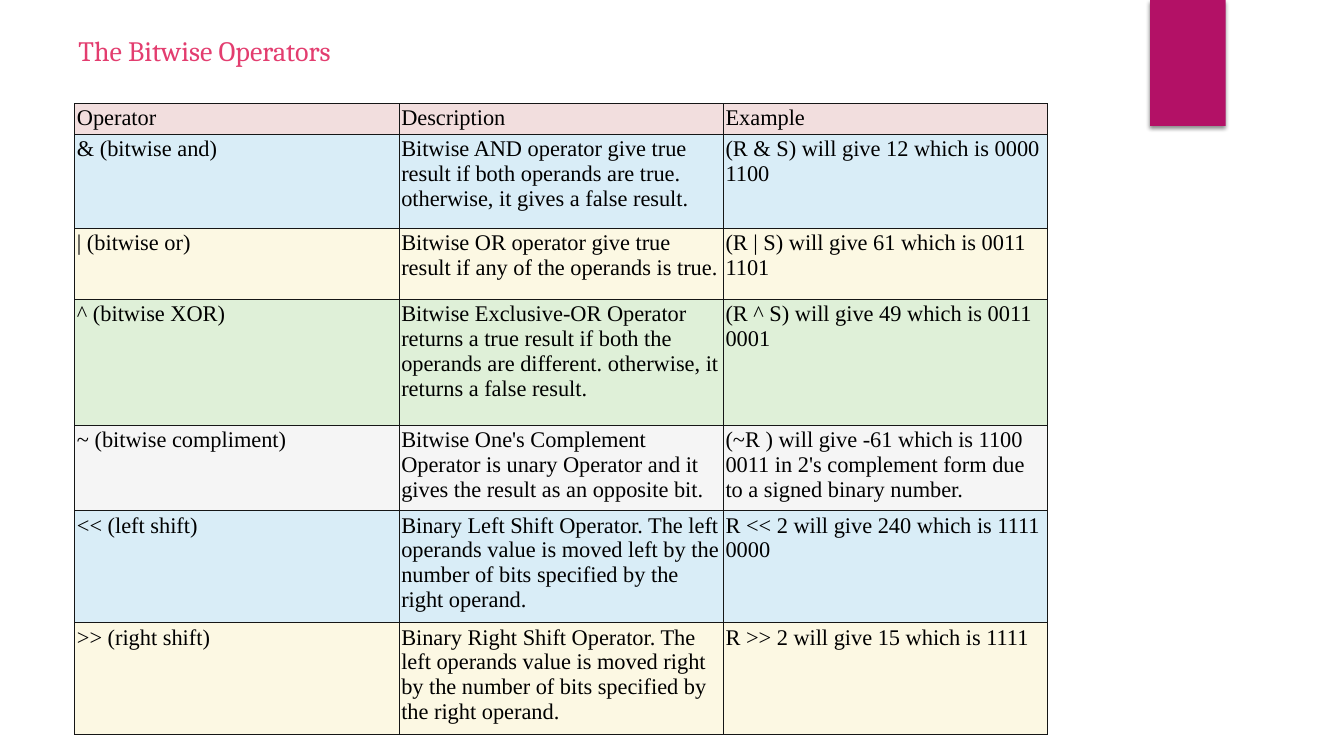
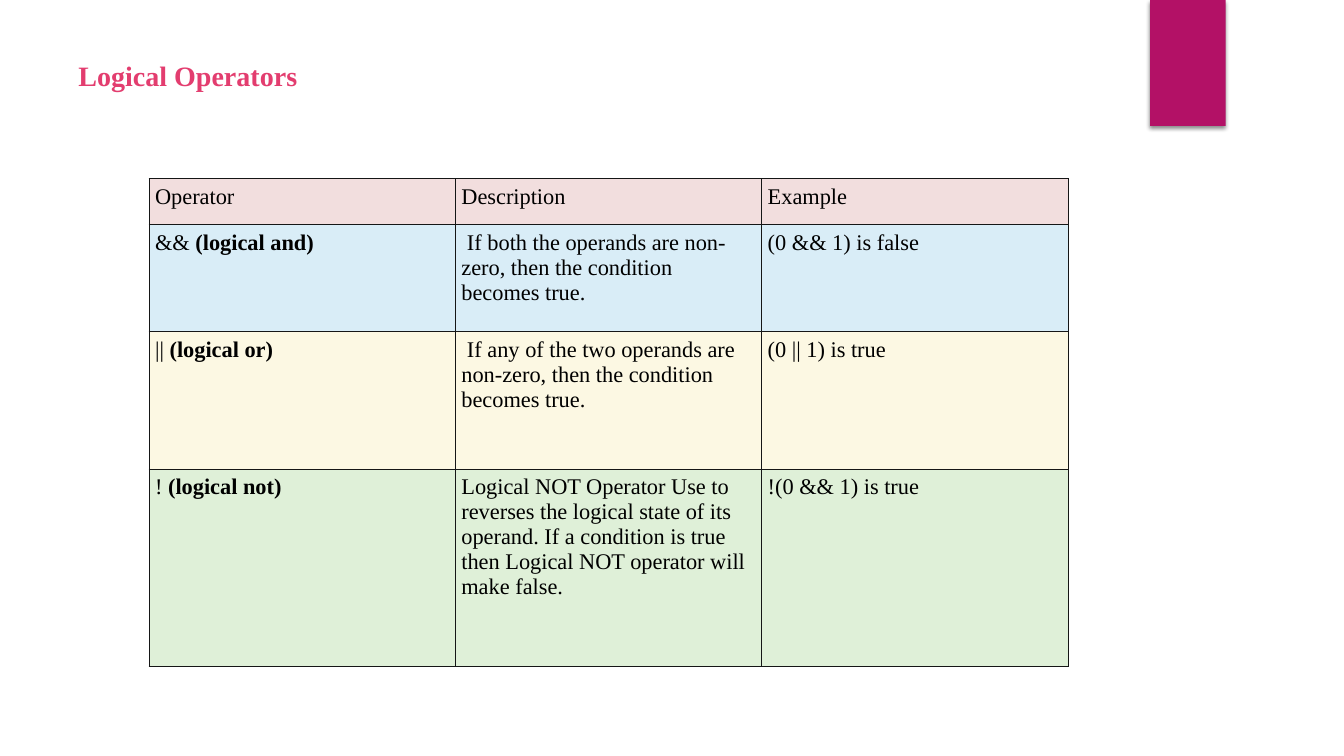
from lxml import etree
from pptx import Presentation
from pptx.dml.color import RGBColor
from pptx.enum import shapes, text
from pptx.oxml import ns
from pptx.util import Pt

COLORS = {
    "title": "E33D6F", "band": "B31166", "text": "000000", "border": "151616",
    "rose": "F2DEDE", "blue": "D9EDF7", "cream": "FCF8E3",
    "green": "DFF0D8", "gray": "F5F5F5",
}
ROW_FILLS = ["rose", "blue", "cream", "green", "gray", "blue", "cream"]
BODY_FONT = "Times New Roman"
HEADINGS = ("Operator", "Description", "Example")

# Content: a cell given as a tuple has a regular part and a bold part
bitwise_rows = [
    HEADINGS,
    ("& (bitwise and)",
     "Bitwise AND operator give true result if both operands are true. "
     "otherwise, it gives a false result.",
     "(R & S) will give 12 which is 0000 1100"),
    ("| (bitwise or)",
     "Bitwise OR operator give true result if any of the operands is true.",
     "(R | S) will give 61 which is 0011 1101"),
    ("^ (bitwise XOR)",
     "Bitwise Exclusive-OR Operator returns a true result if both the "
     "operands are different. otherwise, it returns a false result.",
     "(R ^ S) will give 49 which is 0011 0001"),
    ("~ (bitwise compliment)",
     "Bitwise One's Complement Operator is unary Operator and it gives "
     "the result as an opposite bit.",
     "(~R ) will give -61 which is 1100 0011 in 2's complement form due to "
     "a signed binary number."),
    ("<< (left shift)",
     "Binary Left Shift Operator. The left operands value is moved left by "
     "the number of bits specified by the right operand.",
     "R << 2 will give 240 which is 1111 0000"),
    (">> (right shift)",
     "Binary Right Shift Operator. The left operands value is moved right by "
     "the number of bits specified by the right operand.",
     "R >> 2 will give 15 which is 1111"),
]
logical_rows = [
    HEADINGS,
    (("&& ", "(logical and)"),
     " If both the operands are non-zero, then the condition becomes true.",
     "(0 && 1) is false"),
    (("|| ", "(logical or)"),
     " If any of the two operands are non-zero, then the condition becomes true.",
     "(0 || 1) is true"),
    (("! ", "(logical not)"),
     "Logical NOT Operator Use to reverses the logical state of its operand. "
     "If a condition is true then Logical NOT operator will make false.",
     "!(0 && 1) is true"),
]
topics = [
    {"title": "The Bitwise Operators", "title_font": "Cambria", "title_bold": False,
     "title_top": 20, "rows": bitwise_rows, "left": 53.5, "top": 74, "width": 695,
     "heights": [22, 67, 51, 90, 61, 80, 80], "inset": 1.5},
    {"title": "Logical Operators", "title_font": BODY_FONT, "title_bold": True,
     "title_top": 38, "rows": logical_rows, "left": 106.5, "top": 127.5, "width": 656.5,
     "heights": [33, 76.5, 98, 141], "inset": 4.3},
]


def style_font(run, face, size, color, bold):
    run.font.name = face
    run.font.size = Pt(size)
    run.font.bold = bold
    run.font.color.rgb = RGBColor.from_string(COLORS[color])


def add_borders(cell):
    properties = cell._tc.get_or_add_tcPr()
    for side in ("lnL", "lnR", "lnT", "lnB"):
        line = etree.SubElement(properties, ns.qn(f"a:{side}"), w=str(Pt(0.75)))
        solid = etree.SubElement(line, ns.qn("a:solidFill"))
        etree.SubElement(solid, ns.qn("a:srgbClr"), val=COLORS["border"])


deck = Presentation()
deck.slide_width, deck.slide_height = Pt(960), Pt(540)
title_only = deck.slide_layouts[5]

for topic in topics:
    slide = deck.slides.add_slide(title_only)

    # Title
    title = slide.shapes.title
    title.left, title.top = Pt(56), Pt(topic["title_top"])
    title.width, title.height = Pt(480), Pt(32)
    frame = title.text_frame
    frame.text = topic["title"]
    frame.margin_left = frame.margin_right = 0
    frame.vertical_anchor = text.MSO_ANCHOR.MIDDLE
    heading = frame.paragraphs[0]
    heading.alignment = text.PP_ALIGN.LEFT
    style_font(heading.runs[0], topic["title_font"], 20, "title", topic["title_bold"])

    # Operator table
    rows, heights = topic["rows"], topic["heights"]
    table = slide.shapes.add_table(
        len(rows), len(HEADINGS), Pt(topic["left"]), Pt(topic["top"]),
        Pt(topic["width"]), Pt(sum(heights))).table
    table.horz_banding = False
    for table_row, height, values, fill in zip(table.rows, heights, rows, ROW_FILLS):
        table_row.height = Pt(height)
        for cell, value in zip(table_row.cells, values):
            add_borders(cell)
            cell.fill.solid()
            cell.fill.fore_color.rgb = RGBColor.from_string(COLORS[fill])
            cell.margin_left = cell.margin_right = Pt(topic["inset"])
            cell.margin_top = cell.margin_bottom = Pt(topic["inset"])
            parts = (value,) if isinstance(value, str) else value
            paragraph = cell.text_frame.paragraphs[0]
            for position, part in enumerate(parts):
                run = paragraph.add_run()
                run.text = part
                style_font(run, BODY_FONT, 16, "text", position > 0)

# Corner band, moved to the layout so that every slide shares it
band = deck.slides[0].shapes.add_shape(
    shapes.MSO_SHAPE.RECTANGLE, Pt(821.5), 0, Pt(54), Pt(90))
band.fill.solid()
band.fill.fore_color.rgb = RGBColor.from_string(COLORS["band"])
band.line.fill.background()
band.shadow.inherit = False
effects = band.element.spPr.find(ns.qn("a:effectLst"))
shadow = etree.SubElement(effects, ns.qn("a:outerShdw"), blurRad=str(Pt(3)),
                          dist=str(Pt(2)), dir="5400000", rotWithShape="0")
shade = etree.SubElement(shadow, ns.qn("a:srgbClr"), val="000000")
etree.SubElement(shade, ns.qn("a:alpha"), val="45000")
band.element.nvSpPr.cNvPr.id = 20
title_only.shapes.element.append(band.element)

deck.save("out.pptx")
